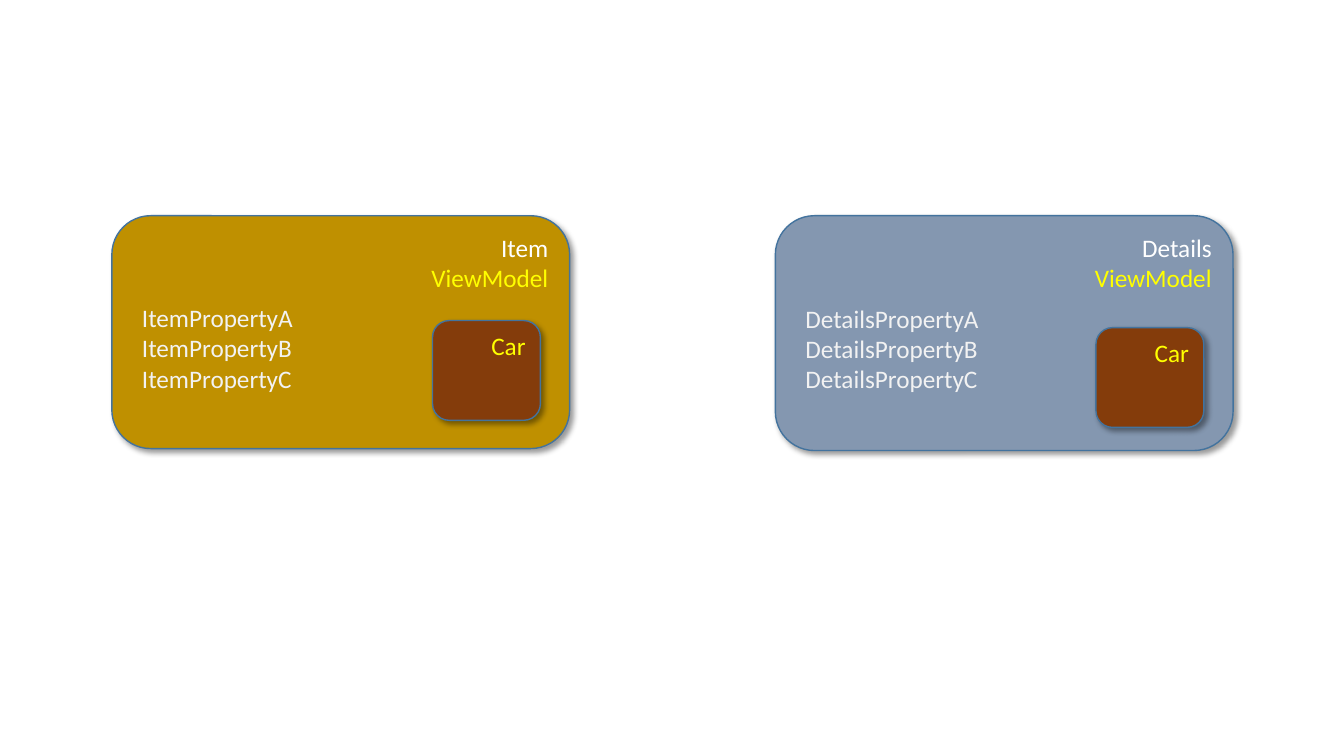
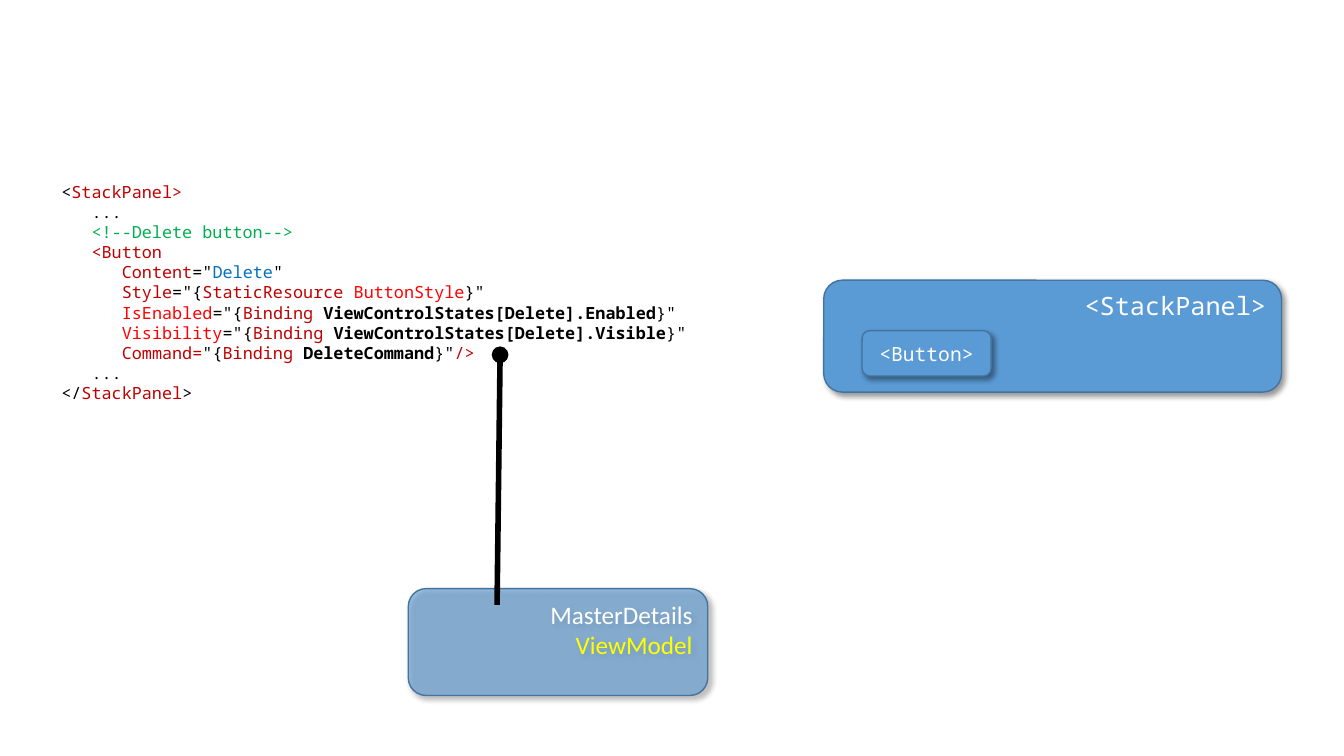
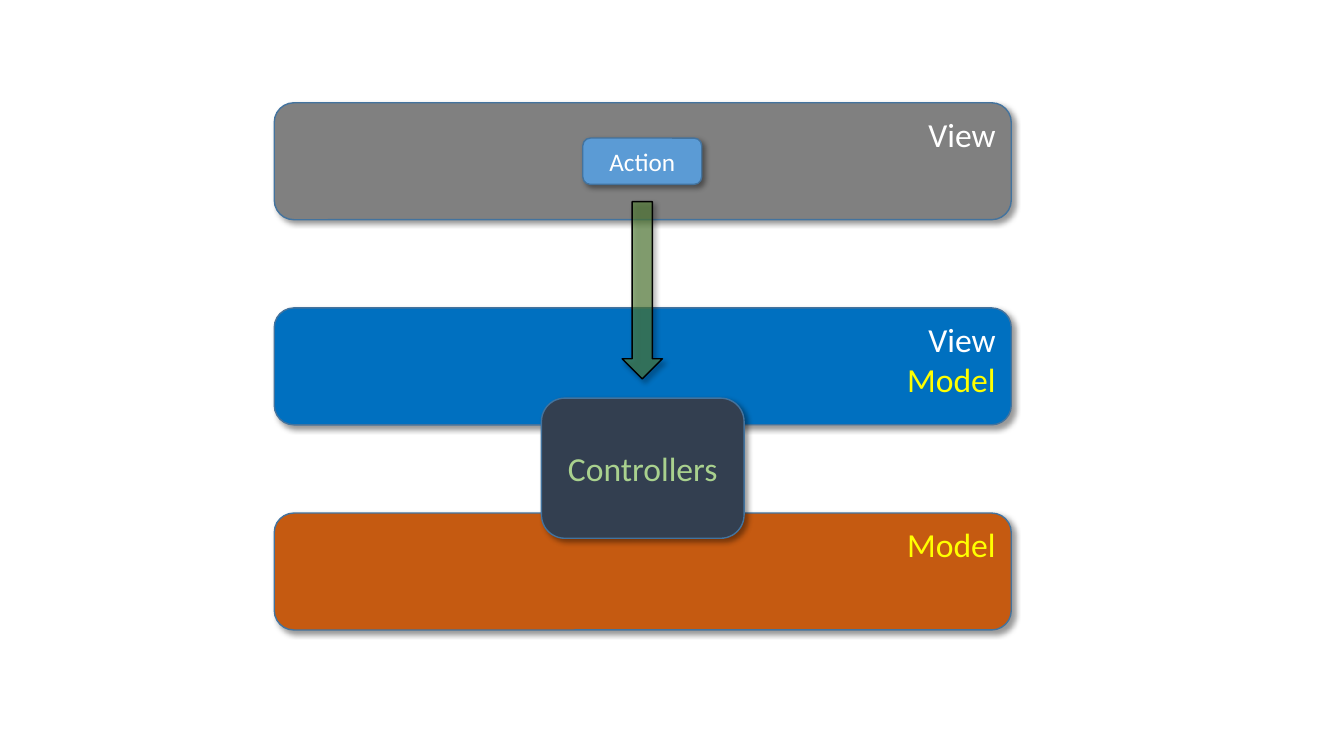
"""Builds three diagram slides on view models, bindings and controllers."""
from dataclasses import dataclass
from lxml.etree import SubElement as Sub
from pptx import Presentation
from pptx.dml.color import RGBColor as Rgb
from pptx.enum.shapes import MSO_CONNECTOR as Conn, MSO_SHAPE as Geo
from pptx.enum.text import MSO_ANCHOR as Anchor, MSO_AUTO_SIZE as Auto, PP_ALIGN as Align
from pptx.oxml.ns import qn
from pptx.util import Inches, Pt


@dataclass(frozen=True)
class Theme:
    sans: str = "Calibri"
    mono: str = "Noto Sans Mono"
    code: int = 12
    small: int = 14
    body: int = 18
    large: int = 24
    white: str = "FFFFFF"
    pale: str = "F2F2F2"
    black: str = "000000"
    yellow: str = "FFFF00"
    edge: str = "43739E"
    blue: str = "5B9BD5"
    deep: str = "0070C0"
    gold: str = "BF9000"
    slate: str = "8497B0"
    brown: str = "843C0B"
    gray: str = "808080"
    rust: str = "C55A11"
    navy: str = "333F50"
    mint: str = "A9D18E"
    leaf: str = "548235"
    tag: str = "C00000"
    attr: str = "FF0000"
    note: str = "00B050"


T = Theme()

PANELS = [
    ("Item", T.gold, 1.11, 2.31, 2.95, 1.71, 3.18),
    ("Details", T.slate, 7.69, 2.33, 2.96, 1.94, 3.25),
]

BIND = "bind"
TAG, ATTR, PLAIN = T.tag, T.attr, T.black
CODE = [
    (0, [("<", PLAIN), ("StackPanel>", TAG)]),
    (1, [("...", PLAIN)]),
    (1, [("<!--Delete button-->", T.note)]),
    (1, [("<Button", TAG)]),
    (2, [("Content", TAG), ('="', PLAIN), ("Delete", T.deep), ('"', PLAIN)]),
    (2, [("Style", TAG), ('="{', PLAIN), ("StaticResource ", TAG),
         ("ButtonStyle", ATTR), ('}"', PLAIN)]),
    (2, [("IsEnabled", ATTR), ('="{', PLAIN), ("Binding ", TAG),
         ("ViewControlStates[Delete].Enabled", BIND), ('}"', PLAIN)]),
    (2, [("Visibility", ATTR), ('="{', PLAIN), ("Binding ", TAG),
         ("ViewControlStates[Delete].Visible", BIND), ('}"', PLAIN)]),
    (2, [("Command=", TAG), ('"{', PLAIN), ("Binding ", TAG),
         ("DeleteCommand", BIND), ('}"', PLAIN), ("/>", TAG)]),
    (1, [("...", PLAIN)]),
    (0, [("</", PLAIN), ("StackPanel", TAG), (">", PLAIN)]),
]

VIEW, MODEL = ("View", T.white), ("Model", T.yellow)
BANDS = [(T.gray, [VIEW]), (T.deep, [VIEW, MODEL]), (T.rust, [MODEL])]


def write(frame, lines, size=T.body, font=T.sans, align=Align.LEFT,
          anchor=Anchor.TOP, wrap=True):
    """Fills a text frame with (level, runs) lines."""
    frame.word_wrap, frame.vertical_anchor = wrap, anchor
    for i, (level, runs) in enumerate(lines):
        para = frame.add_paragraph() if i else frame.paragraphs[0]
        para.alignment = align
        if level:
            para._p.get_or_add_pPr().set("marL", str(Inches(0.3 * level)))
        for text, ink in runs:
            run = para.add_run()
            run.text = text
            run.font.name, run.font.size = font, Pt(size)
            run.font.bold = ink == BIND
            run.font.color.rgb = Rgb.from_string(T.black if ink == BIND else ink)


def place(*at):
    """Turns inches into lengths."""
    return [Inches(n) for n in at]


def plain(rows):
    """Makes one unindented line of each (text, colour) pair."""
    return [(0, [row]) for row in rows]


def tint(parent, color, alpha):
    """Adds a partly clear colour to an XML element."""
    node = Sub(parent, qn("a:srgbClr"), val=color)
    Sub(node, qn("a:alpha"), val=str(alpha * 1000))


def box(shapes, at, fill, rows=(), geo=Geo.ROUNDED_RECTANGLE, edge=T.edge,
        alpha=100, **style):
    """Draws a filled, shadowed shape with a label."""
    shape = shapes.add_shape(geo, *place(*at))
    shape.fill.solid()
    shape.fill.fore_color.rgb = Rgb.from_string(fill)
    shape.line.color.rgb = Rgb.from_string(edge)
    shape.line.width = Pt(1)
    shape.shadow.inherit = False
    props = shape._element.spPr
    if alpha < 100:
        paint = props.find(qn("a:solidFill"))
        paint.remove(paint[0])
        tint(paint, fill, alpha)
    shade = Sub(props.find(qn("a:effectLst")), qn("a:outerShdw"),
                blurRad=str(Pt(4)), dist=str(Pt(3)), dir="2700000",
                algn="tl", rotWithShape="0")
    tint(shade, T.black, 40)
    if rows:
        write(shape.text_frame, plain(rows), **{"align": Align.RIGHT, **style})
    return shape


def note(shapes, at, lines, **style):
    """Adds a text box that grows with its text."""
    frame = shapes.add_textbox(*place(*at)).text_frame
    write(frame, lines, **style)
    frame.auto_size = Auto.SHAPE_TO_FIT_TEXT


def pin(shapes, start, end):
    """Draws a thick line with a round end."""
    line = shapes.add_connector(Conn.STRAIGHT, *place(*start, *end))
    line.line.color.rgb = Rgb.from_string(T.black)
    line.line.width = Pt(4)
    props = line._element.spPr
    Sub(props.find(qn("a:ln")), qn("a:tailEnd"), type="oval")
    Sub(props, qn("a:effectLst"))


def models(shapes):
    """Two view models that share a car."""
    for name, fill, left, high, top, wide, car in PANELS:
        box(shapes, (left, 2.14, 4.54, high), fill,
            [(name, T.white), ("ViewModel", T.yellow)])
        box(shapes, (left + 3.18, car, 1.07, 0.99), T.brown, [("Car", T.yellow)])
        props = [(f"{name}Property{key}", T.pale) for key in "ABC"]
        note(shapes, (left + 0.2, top, wide, 1.01), plain(props), wrap=False)


def binding(shapes):
    """Markup bound to a view model."""
    panel = shapes.add_group_shape().shapes
    box(panel, (8.17, 2.78, 4.54, 1.11), T.blue, [("<StackPanel>", T.white)],
        font=T.mono)
    box(panel, (8.55, 3.28, 1.28, 0.45), T.blue, [("<Button>", T.white)],
        font=T.mono, size=T.small, **MID)
    note(shapes, (0.51, 1.75, 7, 2.32), CODE, font=T.mono, size=T.code)
    box(shapes, (4.05, 5.84, 2.97, 1.06), T.blue,
        [("MasterDetails", T.white), ("ViewModel", T.yellow)], alpha=60)
    pin(shapes, (4.93, 6), (4.96, 3.52))


def layers(shapes):
    """Three layers joined by controllers."""
    first, last = 1.02, 5.09
    step = (last - first) / (len(BANDS) - 1)
    for i, (fill, rows) in enumerate(BANDS):
        box(shapes, (2.72, first + i * step, 7.31, 1.16), fill, rows, size=T.large)
    box(shapes, (5.37, 3.95, 2.01, 1.39), T.navy, [("Controllers", T.mint)],
        size=T.large, **MID)
    box(shapes, (5.78, 1.37, 1.18, 0.46), T.blue, [("Action", T.white)], **MID)
    arrow = box(shapes, (5.49, 2.68, 1.76, 0.4), T.leaf, geo=Geo.RIGHT_ARROW,
                edge=T.black, alpha=60)
    arrow.rotation = 90


MID = {"align": Align.CENTER, "anchor": Anchor.MIDDLE}
deck = Presentation()
deck.slide_width, deck.slide_height = place(13.33, 7.5)
for draw in (models, binding, layers):
    draw(deck.slides.add_slide(deck.slide_layouts[6]).shapes)
deck.save("out.pptx")
